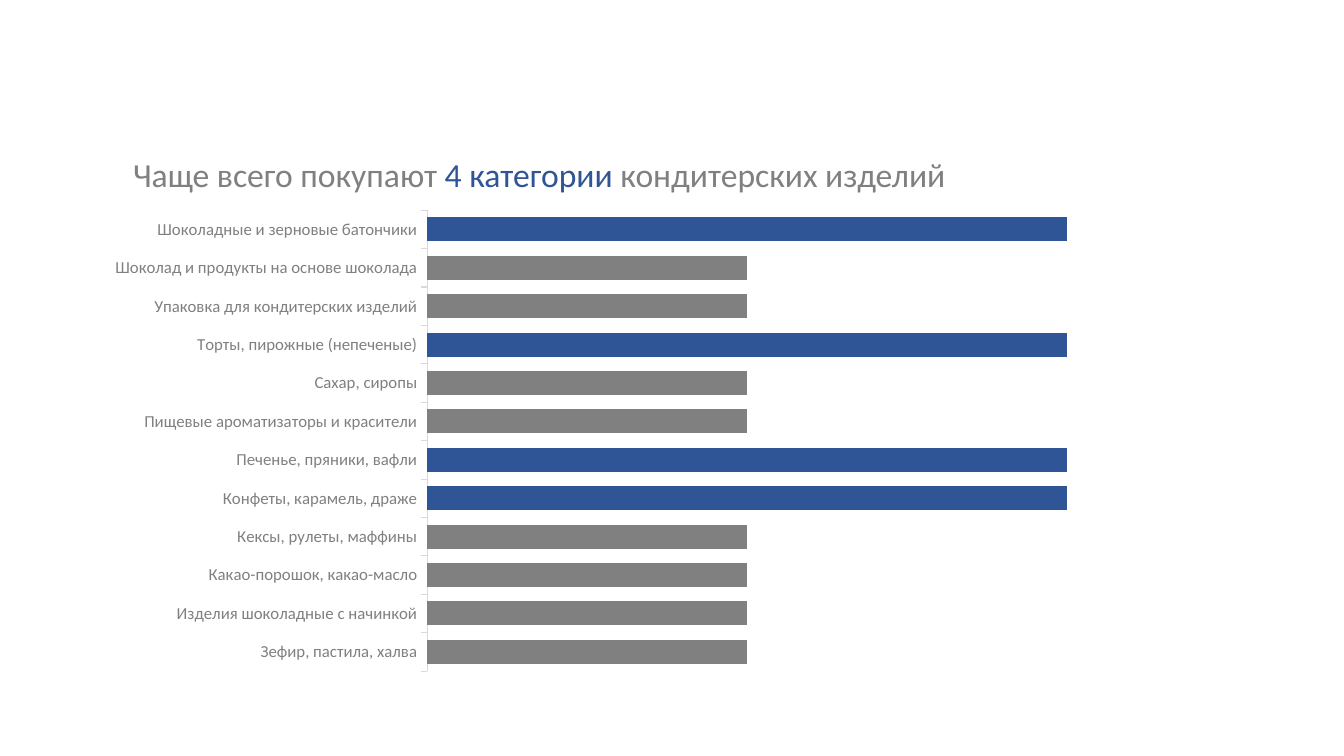
import pptx
import pptx.chart.data
import pptx.dml.color
import pptx.enum.chart
import pptx.enum.text
import pptx.oxml
import pptx.oxml.ns
import pptx.util

Pt = pptx.util.Pt
RGBColor = pptx.dml.color.RGBColor

GRAY = RGBColor(0x80, 0x80, 0x80)
BLUE = RGBColor(0x2F, 0x55, 0x97)
AXIS_GRAY = RGBColor(0xD9, 0xD9, 0xD9)
FONT = "Calibri"

PURCHASES = [
    ("Зефир, пастила, халва", 50),
    ("Изделия шоколадные с начинкой", 50),
    ("Какао-порошок, какао-масло", 50),
    ("Кексы, рулеты, маффины", 50),
    ("Конфеты, карамель, драже", 100),
    ("Печенье, пряники, вафли", 100),
    ("Пищевые ароматизаторы и красители", 50),
    ("Сахар, сиропы", 50),
    ("Торты, пирожные (непеченые)", 100),
    ("Упаковка для кондитерских изделий", 50),
    ("Шоколад и продукты на основе шоколада", 50),
    ("Шоколадные и зерновые батончики", 100),
]


def add_run(p, text, *, size, color, font=FONT):
    r = p.add_run()
    r.text = text
    r.font.name = font
    r.font.size = Pt(size)
    r.font.color.rgb = color


def add_title(s, parts, left, top, width, height):
    sp = s.shapes.add_textbox(Pt(left), Pt(top), Pt(width), Pt(height))
    tf = sp.text_frame
    tf.word_wrap = True
    tf.vertical_anchor = pptx.enum.text.MSO_ANCHOR.MIDDLE
    p = tf.paragraphs[0]
    p.line_spacing = 0.9
    for text, color in parts:
        add_run(p, text, size=24, color=color)


def set_plot_layout(chart, x, y, w, h):
    plot_area = chart._chartSpace.chart.plotArea
    for old in plot_area.findall(pptx.oxml.ns.qn("c:layout")):
        plot_area.remove(old)
    sizes = "".join(f'<c:{k} val="{v}"/>' for k, v in zip("xywh", (x, y, w, h)))
    plot_area.insert(0, pptx.oxml.parse_xml(
        f'<c:layout {pptx.oxml.ns.nsdecls("c")}><c:manualLayout>'
        '<c:layoutTarget val="inner"/><c:xMode val="edge"/><c:yMode val="edge"/>'
        f'{sizes}</c:manualLayout></c:layout>'))


def add_bar_chart(s, rows, left, top, width, height):
    data = pptx.chart.data.CategoryChartData()
    data.categories = [name for name, _ in rows]
    data.add_series("Series 1", [value for _, value in rows])
    chart = s.shapes.add_chart(
        pptx.enum.chart.XL_CHART_TYPE.BAR_CLUSTERED,
        Pt(left), Pt(top), Pt(width), Pt(height), data).chart
    chart.has_legend = False
    chart.has_title = False
    chart.font.name = FONT
    chart.font.size = Pt(10)
    set_plot_layout(chart, 0.289, 0.018, 0.662, 0.96)

    plot = chart.plots[0]
    plot.gap_width = 60
    plot.vary_by_categories = False
    series = plot.series[0]
    series.format.fill.solid()
    series.format.fill.fore_color.rgb = GRAY
    top_value = max(value for _, value in rows)
    for i, (_, value) in enumerate(rows):
        if value == top_value:
            fill = series.points[i].format.fill
            fill.solid()
            fill.fore_color.rgb = BLUE

    cat_axis = chart.category_axis
    cat_axis.major_tick_mark = pptx.enum.chart.XL_TICK_MARK.OUTSIDE
    cat_axis.format.line.color.rgb = AXIS_GRAY
    cat_axis.format.line.width = Pt(0.75)
    font = cat_axis.tick_labels.font
    font.name = FONT
    font.size = Pt(12)
    font.color.rgb = GRAY

    val_axis = chart.value_axis
    val_axis.minimum_scale = 0
    val_axis.maximum_scale = 120
    val_axis.has_major_gridlines = False
    val_axis.visible = False


def main():
    prs = pptx.Presentation()
    prs.slide_width, prs.slide_height = Pt(960), Pt(540)
    s = prs.slides.add_slide(prs.slide_layouts[6])
    add_title(s, [
        ("Чаще всего покупают ", GRAY),
        ("4 категории ", BLUE),
        ("кондитерских изделий", GRAY),
    ], 88, 74, 828, 104)
    add_bar_chart(s, PURCHASES, 66, 144, 828, 343)
    prs.save("out.pptx")


if __name__ == "__main__":
    main()
